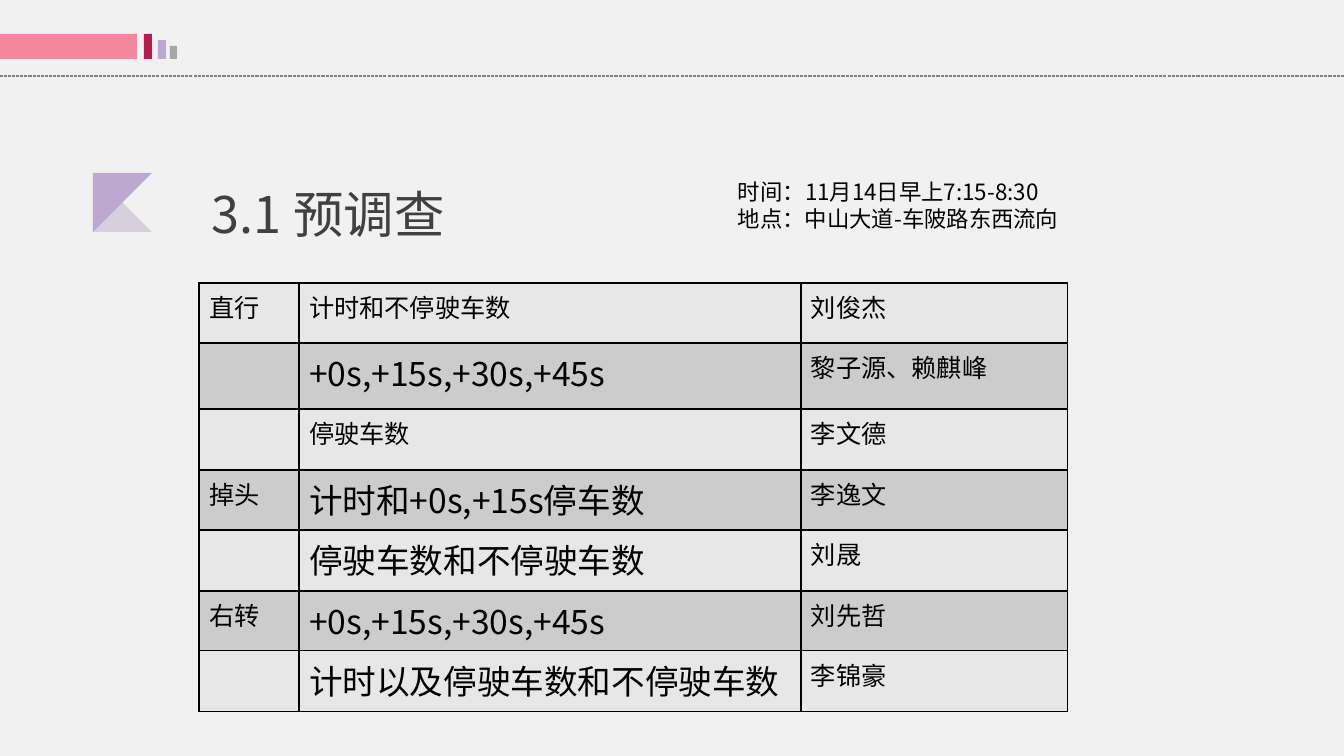
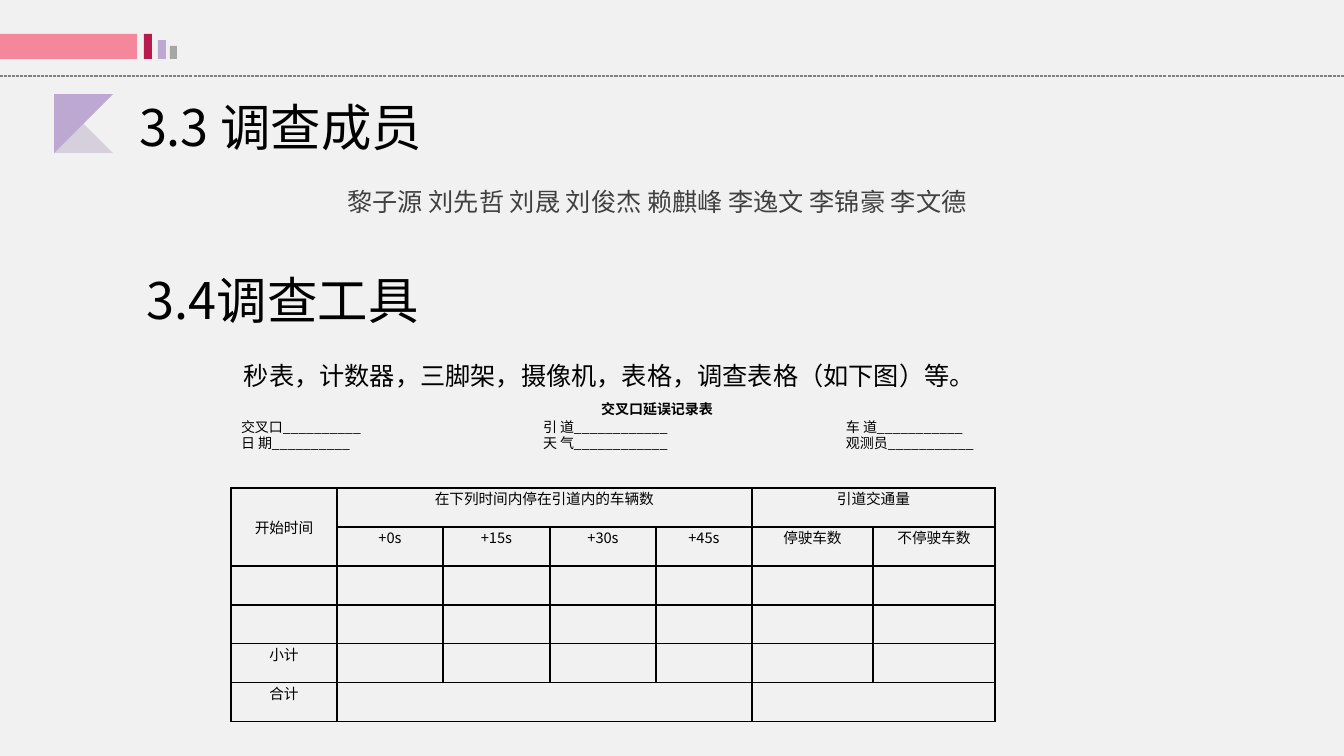
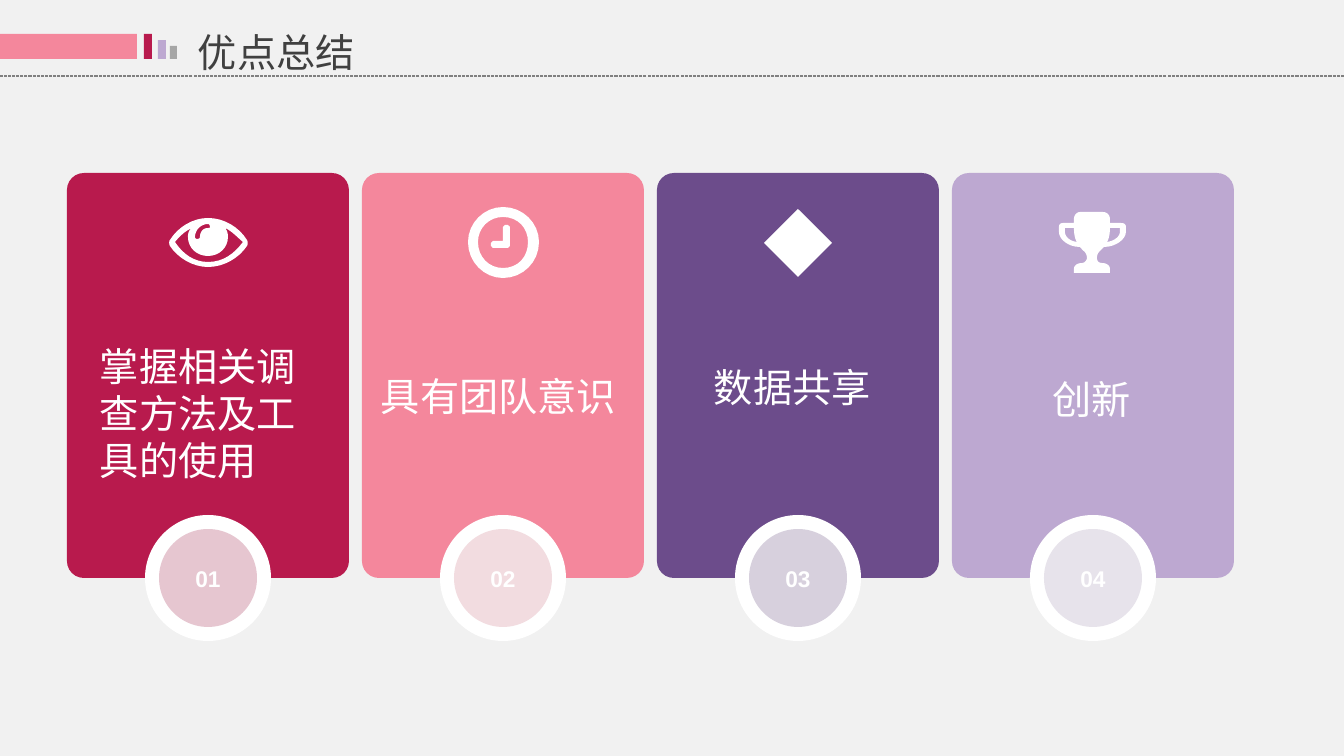
from lxml import etree
from pptx import Presentation
from pptx.dml.color import RGBColor
from pptx.enum.dml import MSO_LINE
from pptx.enum.shapes import MSO_CONNECTOR, MSO_SHAPE
from pptx.enum.text import MSO_ANCHOR, MSO_AUTO_SIZE, PP_ALIGN
from pptx.oxml.ns import qn
from pptx.util import Pt

RECT, ROUNDED, OVAL = MSO_SHAPE.RECTANGLE, MSO_SHAPE.ROUNDED_RECTANGLE, MSO_SHAPE.OVAL
LEFT, CENTER = PP_ALIGN.LEFT, PP_ALIGN.CENTER
TOP, MIDDLE = MSO_ANCHOR.TOP, MSO_ANCHOR.MIDDLE

W, H = 1344, 756
SCALE = 12192000 / W
SC, KR = "Noto Sans CJK SC", "Noto Sans CJK KR"
BLACK, WHITE, DARK, PAPER = "000000", "FFFFFF", "404040", "F1F1F1"
CRIMSON, PINK, PURPLE, LILAC = "B81A4D", "F4879C", "6C4C8B", "BDA8D1"

# Shared band: left, top, width, height, colour
BAND = [
    (0, 34, 137, 25, PINK),
    (144, 34, 8, 25, CRIMSON),
    (158, 40, 8, 19, LILAC),
    (170, 46, 7, 13, "A6A6A6"),
]
RULE_Y = 76
MARK = 59

# Slide 1
SURVEY_INFO = ["时间：11月14日早上7:15-8:30", "地点：中山大道-车陂路东西流向"]
DUTY_COLS = [100, 502, 267]
DUTY_HEIGHTS = [60, 66, 61, 60, 61, 60, 61]
# direction, task, task size, people
DUTIES = [
    ("直行", "计时和不停驶车数", 18, "刘俊杰"),
    ("", "+0s,+15s,+30s,+45s", 24, "黎子源、赖麒峰"),
    ("", "停驶车数", 18, "李文德"),
    ("掉头", "计时和+0s,+15s停车数", 24, "李逸文"),
    ("", "停驶车数和不停驶车数", 24, "刘晟"),
    ("右转", "+0s,+15s,+30s,+45s", 24, "刘先哲"),
    ("", "计时以及停驶车数和不停驶车数", 24, "李锦豪"),
]
STRIPES = ["E7E7E7", "CCCCCC"]

# Slide 2
MEMBERS = "黎子源 刘先哲 刘晟 刘俊杰 赖麒峰 李逸文 李锦豪 李文德"
TOOLS = "秒表，计数器，三脚架，摄像机，表格，调查表格（如下图）等。"
FORM_TITLE = "交叉口延误记录表"
FORM_FIELDS = [
    "交叉口__________\t引 道____________\t车 道___________",
    "日 期__________\t天 气____________\t观测员___________",
]
FORM_TABS = [302, 605]
FORM_COLS = [106, 106, 107, 106, 96, 121, 122]
FORM_ROW = 39
FORM = [
    ["开始时间", "在下列时间内停在引道内的车辆数", "", "", "", "引道交通量", ""],
    ["", "+0s", "+15s", "+30s", "+45s", "停驶车数", "不停驶车数"],
    [""] * 7,
    [""] * 7,
    ["小计"] + [""] * 6,
    ["合计"] + [""] * 6,
]
# first row, first column, last row, last column
FORM_MERGES = [(0, 0, 1, 0), (0, 1, 0, 4), (0, 5, 0, 6), (5, 1, 5, 4), (5, 5, 5, 6)]

# Slide 3: an outline is a list of points; six numbers make a Bezier curve
EYE = [
    [(78, 28), (70, 40, 55, 49, 39, 49), (24, 49, 9, 40, 1, 28), (0, 26, 0, 23, 1, 22),
     (9, 9, 24, 0, 39, 0), (55, 0, 70, 9, 78, 22), (79, 24, 79, 26, 78, 28)],
    [(56, 10), (58, 12, 59, 15, 59, 19), (59, 30, 50, 38, 39, 38), (28, 38, 19, 30, 19, 19),
     (19, 15, 20, 12, 23, 10), (16, 13, 10, 19, 6, 24), (14, 36, 25, 44, 39, 44),
     (54, 44, 65, 36, 74, 24), (68, 19, 63, 13, 56, 10)],
    [(39, 6), (32, 6, 26, 12, 26, 19), (26, 20, 27, 21, 28, 21), (30, 21, 31, 20, 31, 19),
     (31, 14, 34, 10, 39, 10), (40, 10, 41, 10, 41, 9), (41, 7, 40, 6, 39, 6)],
]
CLOCK = [
    [(35, 71), (16, 71, 0, 55, 0, 35), (0, 16, 16, 0, 35, 0),
     (55, 0, 71, 16, 71, 35), (71, 55, 55, 71, 35, 71)],
    [(35, 10), (21, 10, 10, 21, 10, 35), (10, 50, 21, 61, 35, 61),
     (50, 61, 60, 50, 60, 35), (60, 21, 50, 10, 35, 10)],
    [(42, 39), (40, 41), (25, 41), (23, 39), (23, 36), (25, 34),
     (35, 34), (35, 20), (37, 18), (40, 18), (42, 20)],
]
DIAMOND = [[(34, 0), (68, 34), (34, 68), (0, 34)]]
TROPHY = [
    [(67, 20), (67, 27, 57, 35, 45, 35), (43, 37, 41, 39, 41, 39), (39, 41, 38, 43, 38, 46),
     (38, 48, 39, 51, 43, 51), (47, 51, 51, 53, 51, 57), (51, 61), (15, 61), (15, 57),
     (15, 53, 19, 51, 23, 51), (26, 51, 28, 48, 28, 46), (28, 43, 27, 41, 25, 39),
     (24, 39, 23, 37, 21, 35), (9, 35, 0, 27, 0, 20), (0, 15), (0, 12, 2, 11, 4, 11),
     (15, 11), (15, 7), (15, 3, 18, 0, 21, 0), (44, 0), (48, 0, 51, 3, 51, 7),
     (51, 11), (62, 11), (65, 11, 67, 12, 67, 15)],
    [(15, 16), (6, 16), (6, 20), (6, 24, 10, 29, 18, 30), (16, 27, 15, 22, 15, 16)],
    [(61, 16), (51, 16), (51, 22, 50, 27, 48, 30), (56, 29, 61, 24, 61, 20)],
]
# card colour, badge colour, icon, icon place, label, label box, alignment
CARDS = [
    (CRIMSON, "E6C6D0", EYE, (169, 218), "掌握相关调查方法及工具的使用", (93, 338, 232, 149), LEFT),
    (PINK, "F2DCE0", CLOCK, (468, 207), "具有团队意识", (374, 368, 257, 55), LEFT),
    (PURPLE, "D7D0DD", DIAMOND, (764, 209), "数据共享", (707, 359, 232, 55), LEFT),
    (LILAC, "E7E3EB", TROPHY, (1059, 212), "创新", (976, 371, 232, 55), CENTER),
]
CARD_LEFT, CARD_TOP, CARD_W, CARD_H, CARD_STEP = 67, 173, 282, 405, 295
RING, BADGE, RING_TOP = 126, 98, 515


def px(n):
    return round(n * SCALE)


def rgb(color):
    return RGBColor.from_string(color)


def paint(shape, color):
    shape.shadow.inherit = False
    shape.fill.solid()
    shape.fill.fore_color.rgb = rgb(color)
    shape.line.fill.background()


def add_block(s, kind, box, color):
    shape = s.shapes.add_shape(kind, *map(px, box))
    paint(shape, color)
    return shape


def write(tf, lines, size, color=BLACK, name=SC, bold=False, align=LEFT):
    for i, line in enumerate(lines):
        p = tf.paragraphs[0] if i == 0 else tf.add_paragraph()
        p.alignment = align
        r = p.add_run()
        r.text = line
        for key, value in dict(size=Pt(size), name=name, bold=bold).items():
            setattr(r.font, key, value)
        r.font.color.rgb = rgb(color)
        etree.SubElement(r.font._element, qn("a:ea"), typeface=name)


def set_frame(tf, anchor=TOP, margins=(10, 5)):
    across, down = map(px, margins)
    frame = dict(word_wrap=True, auto_size=MSO_AUTO_SIZE.NONE, vertical_anchor=anchor,
                 margin_left=across, margin_right=across, margin_top=down, margin_bottom=down)
    for key, value in frame.items():
        setattr(tf, key, value)


def add_text(s, box, lines, size, margins=(10, 5), **fmt):
    tf = s.shapes.add_textbox(*map(px, box)).text_frame
    set_frame(tf, margins=margins)
    write(tf, lines, size, **fmt)
    return tf


def add_outline(s, contours, left, top, color):
    """Draw closed contours, given in px from left and top, as one shape."""
    fb = None
    for contour in contours:
        points = [contour[0]]
        for step in contour[1:]:
            if len(step) == 2:
                points.append(step)
                continue
            x0, y0 = points[-1]
            x1, y1, x2, y2, x3, y3 = step
            for t in (k / 8 for k in range(1, 9)):
                a, b, c, d = (1 - t) ** 3, 3 * t * (1 - t) ** 2, 3 * t * t * (1 - t), t ** 3
                points.append((a * x0 + b * x1 + c * x2 + d * x3,
                               a * y0 + b * y1 + c * y2 + d * y3))
        points = [(px(left + x), px(top + y)) for x, y in points]
        if fb is None:
            fb = s.shapes.build_freeform(*points[0], scale=1.0)
        else:
            fb.move_to(*points[0])
        fb.add_line_segments(points[1:], close=True)
    shape = fb.convert_to_shape()
    paint(shape, color)
    return shape


def add_mark(s, left, top):
    """Draw the two triangles that stand before a section heading."""
    lower = add_outline(s, [[(MARK, MARK), (0, 0), (0, MARK)]], left, top, PURPLE)
    color = lower.fill._xPr.find(qn("a:solidFill"))[0]
    etree.SubElement(color, qn("a:alpha"), val="20000")
    add_outline(s, [[(0, MARK), (MARK, 0), (0, 0)]], left, top, LILAC)


def add_page(prs, title, box, size, color=DARK):
    """Add a slide with the shared rule, band and title."""
    s = prs.slides.add_slide(prs.slide_layouts[5])
    rule = s.shapes.add_connector(MSO_CONNECTOR.STRAIGHT, px(W), px(RULE_Y), 0, px(RULE_Y))
    rule.line.color.rgb = rgb("808080")
    rule.line.width = Pt(0.75)
    rule.line.dash_style = MSO_LINE.SQUARE_DOT
    etree.SubElement(rule._element.spPr, qn("a:effectLst"))
    for *bar, bar_color in BAND:
        add_block(s, RECT, bar, bar_color)
    head = s.shapes.title
    for key, value in zip(("left", "top", "width", "height"), box):
        setattr(head, key, px(value))
    set_frame(head.text_frame)
    write(head.text_frame, [title], size, color=color)
    return s


def add_grid(s, left, top, cols, heights):
    """Add an unstyled table with thin black borders."""
    box = map(px, (left, top, sum(cols), sum(heights)))
    table = s.shapes.add_table(len(heights), len(cols), *box).table
    table.first_row = table.horz_banding = False
    for col, width in zip(table.columns, cols):
        col.width = px(width)
    for row, height in zip(table.rows, heights):
        row.height = px(height)
    for cell in table.iter_cells():
        tc_pr = cell._tc.get_or_add_tcPr()
        for side in ("a:lnL", "a:lnR", "a:lnT", "a:lnB"):
            ln = etree.SubElement(tc_pr, qn(side), w=str(Pt(1)))
            fill = etree.SubElement(ln, qn("a:solidFill"))
            etree.SubElement(fill, qn("a:srgbClr"), val=BLACK)
    return table


def survey_slide(prs):
    s = add_page(prs, "3.1 预调查", (202, 178, 500, 83), 36)
    add_mark(s, 93, 173)
    add_text(s, (728, 173, 448, 65), SURVEY_INFO, 16, name=KR)
    table = add_grid(s, 199, 283, DUTY_COLS, DUTY_HEIGHTS)
    for i, (direction, task, size, people) in enumerate(DUTIES):
        for j, (value, pt) in enumerate([(direction, 18), (task, size), (people, 18)]):
            cell = table.cell(i, j)
            cell.fill.solid()
            cell.fill.fore_color.rgb = rgb(STRIPES[i % 2])
            if value:
                write(cell.text_frame, [value], pt, name=KR)


def tools_slide(prs):
    s = add_page(prs, "3.3 调查成员", (129, 91, 900, 83), 36, BLACK)
    add_mark(s, 54, 94)
    add_text(s, (307, 181, 700, 46), [MEMBERS], 18, color=DARK, name=KR, align=CENTER)
    add_text(s, (137, 264, 900, 83), ["3.4调查工具"], 36)
    add_text(s, (234, 355, 850, 46), [TOOLS], 18, name=KR)

    add_text(s, (232, 396, 850, 27), [FORM_TITLE], 10, bold=True, align=CENTER)
    tf = add_text(s, (231, 413, 850, 44), FORM_FIELDS, 10)
    for p in tf.paragraphs:
        tabs = etree.SubElement(p._p.get_or_add_pPr(), qn("a:tabLst"))
        for stop in FORM_TABS:
            etree.SubElement(tabs, qn("a:tab"), pos=str(px(stop)), algn="l")

    table = add_grid(s, 231, 488, FORM_COLS, [FORM_ROW] * len(FORM))
    for r0, c0, r1, c1 in FORM_MERGES:
        table.cell(r0, c0).merge(table.cell(r1, c1))
    for i, row in enumerate(FORM):
        for j, value in enumerate(row):
            cell = table.cell(i, j)
            cell.fill.background()
            cell.margin_left = cell.margin_right = px(7)
            cell.margin_top = cell.margin_bottom = 0
            if value:
                write(cell.text_frame, [value], 10.5, align=CENTER)
    table.cell(0, 0).vertical_anchor = MIDDLE


def strengths_slide(prs):
    s = add_page(prs, "优点总结", (188, 23, 1000, 67), 28)
    for i, (color, badge_color, icon, place, label, box, align) in enumerate(CARDS):
        left = CARD_LEFT + i * CARD_STEP
        card = add_block(s, ROUNDED, (left, CARD_TOP, CARD_W, CARD_H), color)
        card.adjustments[0] = 0.06
        ring_left = left + (CARD_W - RING) // 2
        add_block(s, OVAL, (ring_left, RING_TOP, RING, RING), WHITE)
        gap = (RING - BADGE) // 2
        badge = add_block(s, OVAL, (ring_left + gap, RING_TOP + gap, BADGE, BADGE), badge_color)
        set_frame(badge.text_frame, MIDDLE)
        write(badge.text_frame, [f"{i + 1:02}"], 16.2, WHITE, "Arial", True, CENTER)
        add_outline(s, icon, *place, WHITE)
        add_text(s, box, [label], 28, margins=(7, 4), color=WHITE, align=align)


def main():
    prs = Presentation()
    prs.slide_width, prs.slide_height = px(W), px(H)
    background = prs.slide_master.background.fill
    background.solid()
    background.fore_color.rgb = rgb(PAPER)
    survey_slide(prs)
    tools_slide(prs)
    strengths_slide(prs)
    prs.save("out.pptx")


if __name__ == "__main__":
    main()
